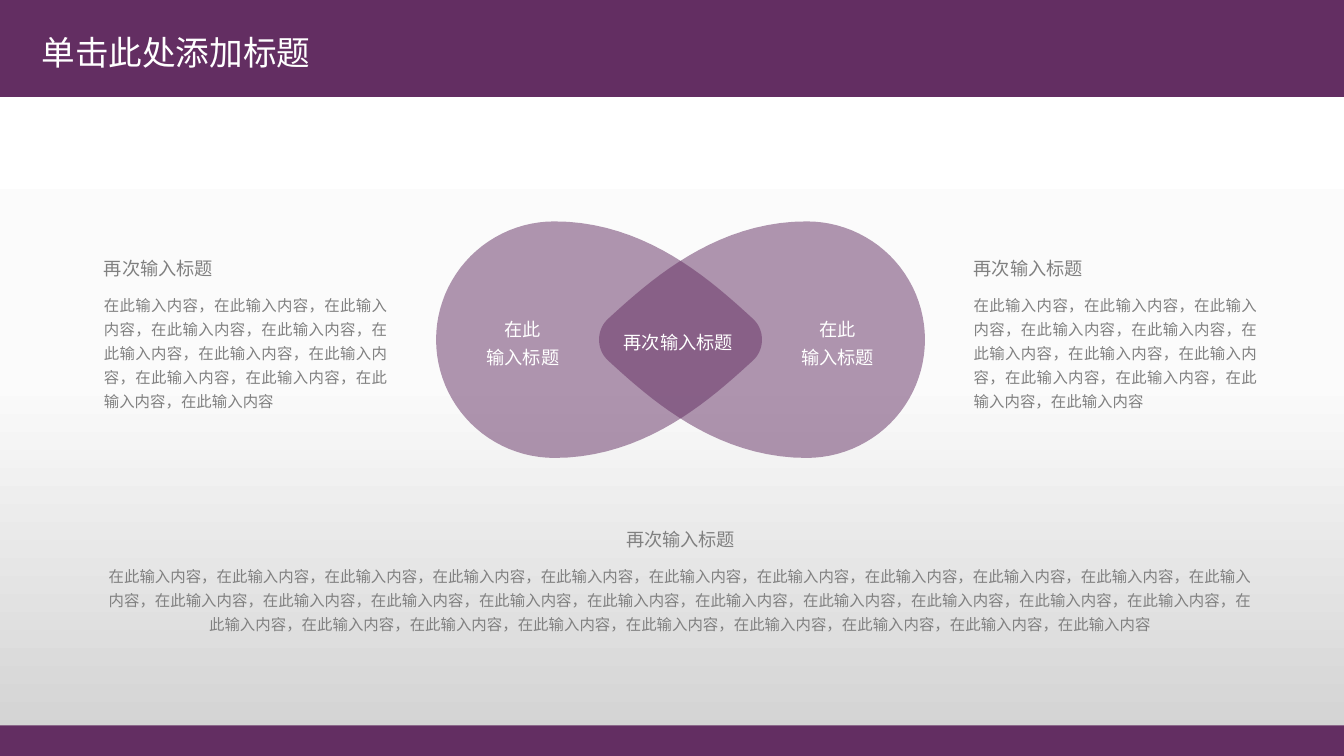
from copy import deepcopy
from dataclasses import dataclass
from math import cos, pi, sin

from lxml.etree import SubElement
from pptx import Presentation
from pptx.dml.color import RGBColor
from pptx.enum.shapes import MSO_SHAPE
from pptx.enum.text import MSO_ANCHOR, MSO_AUTO_SIZE, PP_ALIGN
from pptx.oxml.ns import qn
from pptx.util import Cm, Pt


@dataclass(frozen=True)
class Theme:
    plum: str = "632E62"
    gray: str = "808080"
    white: str = "FFFFFF"
    backdrop: tuple = ((0, "FFFFFF"), (50, "FBFBFB"), (100, "D1D1D1"))
    title_font: str = "Montserrat"
    text_font: str = "Noto Sans CJK SC"
    title_size: int = 24
    heading_size: int = 13
    body_size: int = 11
    line_spacing: float = 1.3
    space_before: int = 8
    drop_opacity: int = 50


WIDTH, HEIGHT = 33.87, 19.05
HEADING = "再次输入标题"
PHRASE = "在此输入内容"


def bezier(p0, p1, p2, p3, steps=20):
    """Points along a cubic curve, without its first point."""
    for i in range(1, steps + 1):
        t = i / steps
        u = 1 - t
        yield tuple(u**3 * a + 3 * u * u * t * b + 3 * u * t * t * c + t**3 * d
                    for a, b, c, d in zip(p0, p1, p2, p3))


def drop_outline(radius):
    """A half circle on the left, drawn out to a rounded tip on the right."""
    arc = [(-radius * sin(pi * i / 48), -radius * cos(pi * i / 48))
           for i in range(49)]
    flank = ((0, radius), (2.31, radius), (3.96, 1.48), (5, 0.53))
    tip = ((5, 0.53), (5.31, 0.25), (5.31, -0.25), (5, -0.53))
    upper_flank = [(x, -y) for x, y in reversed(flank)]
    return [*arc, *bezier(*flank), *bezier(*tip), *bezier(*upper_flank)]


class SlideBuilder:
    def __init__(self, slide, theme):
        self.slide = slide
        self.theme = theme

    def background(self):
        fill = self.slide.background.fill
        fill.gradient()
        fill.gradient_angle = 270
        stops = fill.gradient_stops
        first = stops[0]._stop if hasattr(stops[0], "_stop") else stops[0]._gs
        stop_list = first.getparent()
        for old in list(stop_list):
            stop_list.remove(old)
        for percent, color in self.theme.backdrop:
            stop = SubElement(stop_list, qn("a:gs"), pos=str(percent * 1000))
            SubElement(stop, qn("a:srgbClr"), val=color)

    def paint(self, shape):
        shape.shadow.inherit = False
        shape.fill.solid()
        shape.fill.fore_color.rgb = RGBColor.from_string(self.theme.plum)
        shape.line.fill.background()

    def band(self, top, height):
        self.paint(self.slide.shapes.add_shape(
            MSO_SHAPE.RECTANGLE, 0, Cm(top), Cm(WIDTH), Cm(height)))

    def drop(self, center_x, center_y, radius, direction):
        points = [(Cm(center_x + direction * x), Cm(center_y + y))
                  for x, y in drop_outline(radius)]
        builder = self.slide.shapes.build_freeform(*points[0])
        builder.add_line_segments(points[1:], close=True)
        shape = builder.convert_to_shape()
        self.paint(shape)
        color = shape._element.spPr.find(qn("a:solidFill"))[0]
        SubElement(color, qn("a:alpha"),
                   val=str(self.theme.drop_opacity * 1000))

    def run(self, paragraph, text, size, color, font_name):
        run = paragraph.add_run()
        run.text = text
        run.font.size = Pt(size)
        run.font.name = font_name
        run.font.color.rgb = RGBColor.from_string(color)
        SubElement(run.font._element, qn("a:ea"),
                   typeface=self.theme.text_font)

    def text(self, box, lines, color, align, space_before, wrap):
        """Each line is a pair of wording and type size."""
        frame = self.slide.shapes.add_textbox(*map(Cm, box)).text_frame
        frame.word_wrap = wrap
        frame.auto_size = MSO_AUTO_SIZE.SHAPE_TO_FIT_TEXT
        frame.margin_left = frame.margin_right = Cm(0.33)
        frame.margin_top = frame.margin_bottom = Cm(0.18)
        for i, (wording, size) in enumerate(lines):
            paragraph = frame.add_paragraph() if i else frame.paragraphs[0]
            paragraph.alignment = align
            paragraph.line_spacing = self.theme.line_spacing
            paragraph.space_before = Pt(space_before)
            self.run(paragraph, wording, size, color, self.theme.text_font)

    def description(self, box, repeats, align):
        lines = [(HEADING, self.theme.heading_size),
                 ("，".join([PHRASE] * repeats), self.theme.body_size)]
        self.text(box, lines, self.theme.gray, align,
                  self.theme.space_before, wrap=True)

    def label(self, box, lines, align, space_before=0):
        sized = [(line, self.theme.heading_size) for line in lines]
        self.text(box, sized, self.theme.white, align, space_before,
                  wrap=False)

    def title(self, wording):
        title = self.slide.shapes.title
        title.left, title.top = Cm(0.79), Cm(0.53)
        title.width, title.height = Cm(29.21), Cm(1.68)
        frame = title.text_frame
        frame.vertical_anchor = MSO_ANCHOR.MIDDLE
        paragraph = frame.paragraphs[0]
        paragraph.alignment = PP_ALIGN.LEFT
        paragraph.line_spacing = 0.9
        self.run(paragraph, wording, self.theme.title_size,
                 self.theme.white, self.theme.title_font)
        # Bring the title in front of the header band
        self.slide.shapes._spTree.append(title._element)


def main():
    deck = Presentation()
    deck.slide_width, deck.slide_height = Cm(WIDTH), Cm(HEIGHT)
    page = SlideBuilder(deck.slides.add_slide(deck.slide_layouts[5]), Theme())

    # Backdrop with header and footer bands
    page.background()
    page.band(0, 2.44)
    page.band(18.28, 0.77)

    # Two overlapping drops, mirrored about the middle
    middle_x, middle_y, offset = 17.15, 8.56, 3.18
    for direction in (-1, 1):
        page.drop(middle_x - direction * offset, middle_y, 2.98, direction)

    # Descriptions beside and below the drops
    for left in (24.21, 2.29):
        page.description((left, 6.15, 7.8, 4.39), 12, PP_ALIGN.JUSTIFY)
    page.description((2.29, 12.98, 29.72, 3.18), 30, PP_ALIGN.CENTER)

    # Labels on the drops
    page.label((15.39, 8, 3.45, 1.07), [HEADING], PP_ALIGN.JUSTIFY,
               page.theme.space_before)
    for left in (11.91, 19.84):
        page.label((left, 7.67, 2.54, 1.78), ["在此", "输入标题"],
                   PP_ALIGN.CENTER)

    page.title("单击此处添加标题")
    deck.save("out.pptx")


if __name__ == "__main__":
    main()
